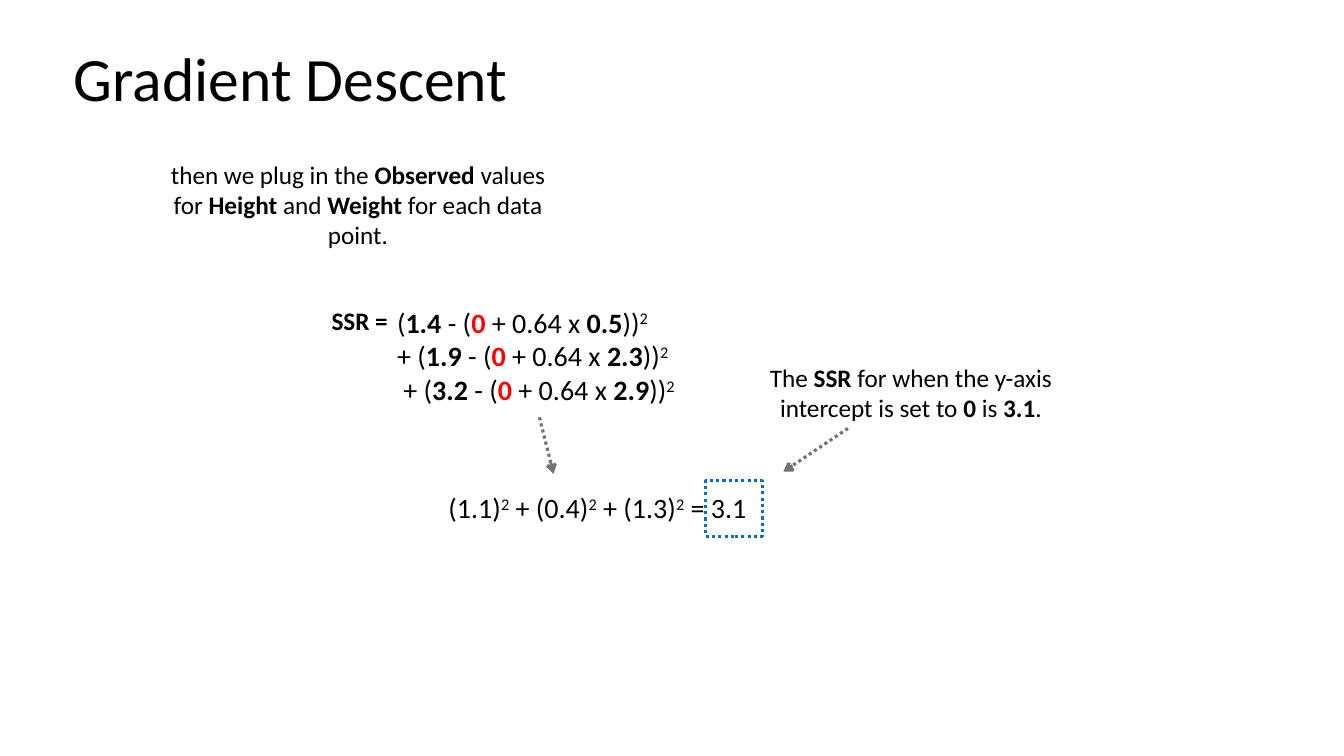
from lxml import etree
from pptx import Presentation
from pptx.dml.color import RGBColor
from pptx.enum.dml import MSO_LINE_DASH_STYLE as DASH
from pptx.enum.shapes import MSO_CONNECTOR, MSO_SHAPE
from pptx.enum.text import MSO_ANCHOR, MSO_AUTO_SIZE, PP_ALIGN
from pptx.oxml.ns import qn
from pptx.util import Inches, Pt

FONT = "Calibri"
COLORS = {"text": "000000", "intercept": "FF0000", "frame": "0070C0", "arrow": "767171"}
OBSERVATIONS = [("1.4", "0.5"), ("1.9", "2.3"), ("3.2", "2.9")]
RESIDUALS = ["1.1", "0.4", "1.3"]


def color(name):
    return RGBColor.from_string(COLORS[name])


def add_runs(paragraph, runs, size):
    """Append (text, style) runs; style is plain, bold, intercept or power."""
    for text, style in runs:
        run = paragraph.add_run()
        run.text = text
        run.font.name = FONT
        run.font.size = Pt(size)
        run.font.bold = style in ("bold", "intercept")
        run.font.color.rgb = color("intercept" if style == "intercept" else "text")
        if style == "power":
            run._r.get_or_add_rPr().set("baseline", "30000")


def add_text(shapes, box, lines, size, align=PP_ALIGN.LEFT):
    """Add a wrapped text box with one paragraph for each list of runs."""
    text_frame = shapes.add_textbox(*map(Inches, box)).text_frame
    text_frame.word_wrap = True
    text_frame.auto_size = MSO_AUTO_SIZE.SHAPE_TO_FIT_TEXT
    for index, runs in enumerate(lines):
        paragraph = text_frame.add_paragraph() if index else text_frame.paragraphs[0]
        paragraph.alignment = align
        add_runs(paragraph, runs, size)


def style_dotted(line, color_name):
    line.color.rgb = color(color_name)
    line.width = Pt(2.25)
    line.dash_style = DASH.ROUND_DOT


def add_arrow(slide, start, end):
    points = map(Inches, (*start, *end))
    arrow = slide.shapes.add_connector(MSO_CONNECTOR.STRAIGHT, *points)
    style_dotted(arrow.line, "arrow")
    etree.SubElement(arrow.line._get_or_add_ln(), qn("a:tailEnd"), type="arrow")
    etree.SubElement(arrow._element.spPr, qn("a:effectLst"))


def add_title(slide, box):
    title = slide.shapes.title
    title.left, title.top, title.width, title.height = map(Inches, box)
    title.text_frame.vertical_anchor = MSO_ANCHOR.MIDDLE
    paragraph = title.text_frame.paragraphs[0]
    paragraph.alignment = PP_ALIGN.LEFT
    paragraph.line_spacing = 0.9
    add_runs(paragraph, [("Gradient Descent", "plain")], 44)


def add_instruction(slide, box):
    runs = [("then we plug in the ", "plain"), ("Observed", "bold"),
            (" values for ", "plain"), ("Height", "bold"), (" and ", "plain"),
            ("Weight", "bold"), (" for each data point.", "plain")]
    add_text(slide.shapes, box, [runs], 18, PP_ALIGN.CENTER)


def add_ssr_formula(slide, box):
    """Group the SSR label with one squared term for each observation."""
    left, top, width, height = box
    label_offset = 0.65
    lines = []
    for prefix, (observed, weight) in zip(("(", "+ (", " + ("), OBSERVATIONS):
        lines.append([(prefix, "plain"), (observed, "bold"), (" - (", "plain"),
                      ("0", "intercept"), (" + 0.64 x ", "plain"),
                      (weight, "bold"), ("))", "plain"), ("2", "power")])
    shapes = slide.shapes.add_group_shape().shapes
    add_text(shapes, (left + label_offset, top, width - label_offset, height), lines, 20)
    add_text(shapes, (left, top, 0.86, 0.4), [[("SSR =", "bold")]], 18)


def add_result(slide, box):
    """Write the sum of squared residuals and frame its value."""
    left, top, _, _ = box
    runs = []
    for index, residual in enumerate(RESIDUALS):
        runs += [(f"{' + ' if index else ''}({residual})", "plain"), ("2", "power")]
    runs.append((" = 3.1", "plain"))
    add_text(slide.shapes, box, [runs], 20)
    frame_box = (left + 2.65, top - 0.05, 0.56, 0.55)
    frame = slide.shapes.add_shape(MSO_SHAPE.RECTANGLE, *map(Inches, frame_box))
    frame.shadow.inherit = False
    frame.fill.background()
    style_dotted(frame.line, "frame")


def add_conclusion(slide, box):
    runs = [("The ", "plain"), ("SSR", "bold"),
            (" for when the y-axis intercept is set to ", "plain"), ("0", "bold"),
            (" is ", "plain"), ("3.1", "bold"), (".", "plain")]
    add_text(slide.shapes, box, [runs], 18, PP_ALIGN.CENTER)


def main():
    presentation = Presentation()
    presentation.slide_width = Inches(13.33)
    presentation.slide_height = Inches(7.5)
    slide = presentation.slides.add_slide(presentation.slide_layouts[5])
    add_title(slide, (0.63, 0.08, 6.82, 1.45))
    add_instruction(slide, (1.49, 1.53, 4.12, 1.01))
    add_ssr_formula(slide, (3.19, 2.98, 3.82, 1.11))
    add_result(slide, (4.35, 4.82, 3.77, 0.44))
    add_conclusion(slide, (7.45, 3.54, 3.17, 0.71))
    add_arrow(slide, (8.41, 4.25), (7.77, 4.68))
    add_arrow(slide, (5.35, 4.14), (5.49, 4.7))
    presentation.save("out.pptx")


if __name__ == "__main__":
    main()
